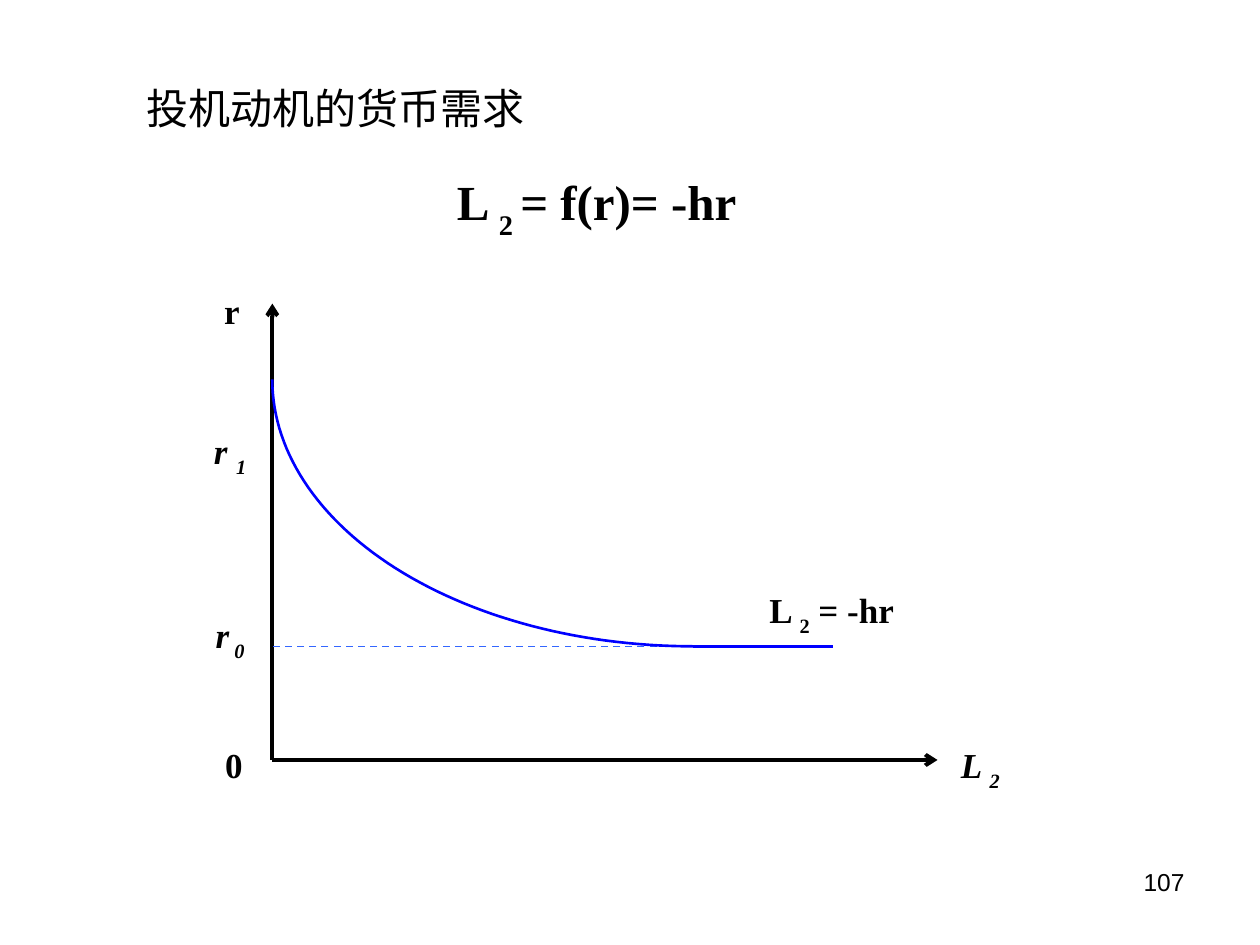
from math import cos, pi, sin

from lxml.etree import SubElement
from pptx import Presentation
from pptx.dml.color import RGBColor
from pptx.enum.dml import MSO_LINE
from pptx.enum.shapes import MSO_CONNECTOR
from pptx.enum.text import MSO_ANCHOR, PP_ALIGN
from pptx.oxml.ns import qn
from pptx.util import Cm, Pt

BLACK = RGBColor(0x00, 0x00, 0x00)
BLUE = RGBColor(0x00, 0x00, 0xFF)
SKY = RGBColor(0x33, 0x66, 0xFF)

LEFT, RIGHT, BEND, END = 5.49, 18.9, 13.97, 16.79
TOP, START, FLOOR, BASE = 6.12, 7.65, 13.03, 15.32
STEPS = 60


class Board:
    sans = "Arial"
    serif = "Times New Roman"

    def __init__(self, slide):
        self.slide = slide

    def place(self, shape, x, y, w, h):
        shape.left, shape.top, shape.width, shape.height = map(Cm, (x, y, w, h))

    def style(self, para, size, face, bold=False, slant=False):
        font = para.font
        font.size, font.name = Pt(size), face
        font.bold, font.italic = bold, slant
        font.color.rgb = BLACK

    def title(self, text, x, y, w, h):
        shape = self.slide.shapes.title
        self.place(shape, x, y, w, h)
        frame = shape.text_frame
        frame.text, frame.word_wrap = text, True
        frame.vertical_anchor = MSO_ANCHOR.TOP
        para = frame.paragraphs[0]
        para.alignment, para.line_spacing = PP_ALIGN.LEFT, 0.8
        self.style(para, 24, self.sans)

    def box(self, x, y, w, h):
        frame = self.slide.shapes.add_textbox(*map(Cm, (x, y, w, h))).text_frame
        frame.word_wrap = True
        return frame.paragraphs[0]

    def label(self, parts, x, y, w, h=1.27, size=20, slant=False):
        para = self.box(x, y, w, h)
        for spot, text in enumerate(parts):
            run = para.add_run()
            run.text = text
            if spot == 1:
                run.font._element.set("baseline", "-30000")
        self.style(para, size, self.serif, True, slant)

    def number(self, text, x, y, w, h):
        para = self.box(x, y, w, h)
        para.text, para.alignment = text, PP_ALIGN.RIGHT
        self.style(para, 14, self.sans)

    def line(self, start, end, color, width, arrow=False, dash=None):
        link = self.slide.shapes.add_connector(
            MSO_CONNECTOR.STRAIGHT, *map(Cm, (*start, *end)))
        link.line.color.rgb, link.line.width = color, Pt(width)
        if dash:
            link.line.dash_style = dash
        if arrow:
            SubElement(link.line._get_or_add_ln(), qn("a:tailEnd"), type="arrow")
        SubElement(link._element.spPr, qn("a:effectLst"))

    def curve(self, points, color, width):
        spots = [(Cm(x), Cm(y)) for x, y in points]
        form = self.slide.shapes.build_freeform(*spots[0])
        form.add_line_segments(spots[1:], close=False)
        shape = form.convert_to_shape()
        shape.shadow.inherit = False
        shape.fill.background()
        shape.line.color.rgb, shape.line.width = color, Pt(width)


def main():
    deck = Presentation()
    deck.slide_width, deck.slide_height = Cm(25.4), Cm(19.05)
    board = Board(deck.slides.add_slide(deck.slide_layouts[5]))

    board.title("投机动机的货币需求", 2.69, 1.73, 8.41, 1.07)
    board.label(["L ", "2 ", "= f(r)= -hr"], 8.96, 3.33, 8.95, 1.65, size=28)

    board.line((LEFT, BASE), (LEFT, TOP), BLACK, 2.25, arrow=True)
    board.line((LEFT, BASE), (RIGHT, BASE), BLACK, 2.25, arrow=True)
    board.line((BEND, FLOOR), (END, FLOOR), BLUE, 1.5)
    board.line((BEND, FLOOR), (LEFT, FLOOR), SKY, 1, dash=MSO_LINE.DASH)
    turns = [pi / 2 * step / STEPS for step in range(STEPS + 1)]
    board.curve([(BEND - (BEND - LEFT) * cos(turn),
                  START + (FLOOR - START) * sin(turn)) for turn in turns],
                BLUE, 1.5)

    board.label(["r"], 4.27, 5.72, 1.0)
    board.label(["r ", "1"], 4.06, 8.53, 1.73, slant=True)
    board.label(["r", " 0"], 4.1, 12.24, 2.0, slant=True)
    board.label(["0"], 4.29, 14.86, 1.4)
    board.label(["L ", "2"], 19.12, 14.86, 2.07, slant=True)
    board.label(["L ", "2", " = -hr"], 15.26, 11.73, 3.25)

    board.number("107", 18.21, 17.35, 5.92, 1.32)
    deck.save("out.pptx")


if __name__ == "__main__":
    main()
